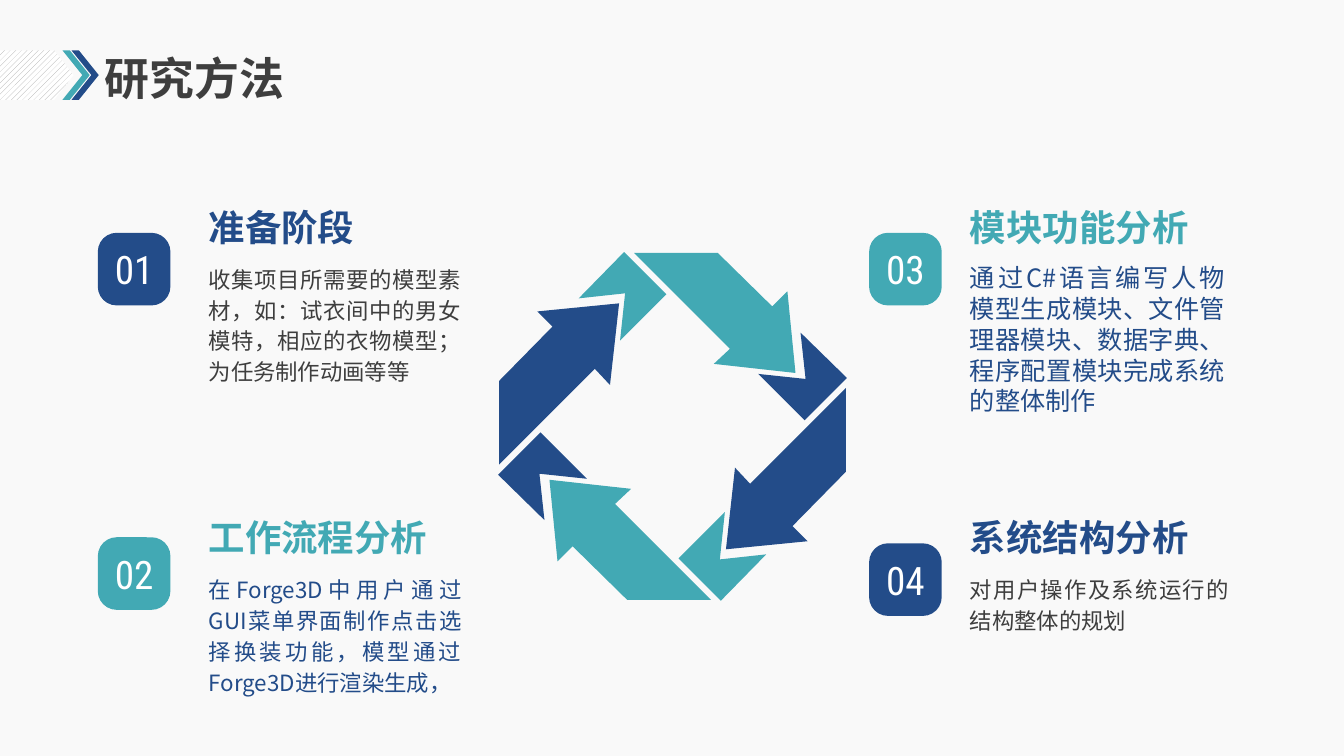
from lxml import etree
from pptx import Presentation
from pptx.dml.color import RGBColor
from pptx.enum.dml import MSO_PATTERN
from pptx.enum.shapes import MSO_SHAPE
from pptx.enum.text import MSO_ANCHOR, MSO_AUTO_SIZE, PP_ALIGN
from pptx.oxml.ns import qn
from pptx.util import Inches, Pt

ROUNDED, CHEVRON, PENTAGON = (
    MSO_SHAPE.ROUNDED_RECTANGLE, MSO_SHAPE.CHEVRON, MSO_SHAPE.PENTAGON)
HATCH = MSO_PATTERN.WIDE_UPWARD_DIAGONAL
TOP, MIDDLE = MSO_ANCHOR.TOP, MSO_ANCHOR.MIDDLE
LEFT, CENTER, JUSTIFY = PP_ALIGN.LEFT, PP_ALIGN.CENTER, PP_ALIGN.JUSTIFY
NO_FIT, GROW = MSO_AUTO_SIZE.NONE, MSO_AUTO_SIZE.SHAPE_TO_FIT_TEXT

NAVY, TEAL, INK = "234C89", "42A9B4", "3E3E3E"
WHITE, PAPER, GREY = "FFFFFF", "F9F9F9", "A6A6A6"
TITLE_FONT, BODY_FONT, NUMBER_FONT = "Karla", "Noto Sans CJK SC", "Roboto Condensed"


def color(code):
    return RGBColor.from_string(code)


def cells(count):
    """Length of a number of grid cells, ten to the inch."""
    return Inches(count / 10)


class Slide:
    def __init__(self, deck):
        self.page = deck.slides.add_slide(deck.slide_layouts[5])
        self.shapes = self.page.shapes
        fill = self.page.background.fill
        fill.solid()
        fill.fore_color.rgb = color(PAPER)

    def set_text(self, shape, text, size, font, code, bold=False,
                 align=LEFT, anchor=TOP, inset=0, spacing=None):
        frame = shape.text_frame
        frame.text = text
        frame.word_wrap = True
        frame.vertical_anchor = anchor
        frame.margin_left = frame.margin_right = cells(inset)
        frame.margin_top = frame.margin_bottom = cells(inset / 2)
        para = frame.paragraphs[0]
        para.alignment = align
        para.line_spacing = spacing
        span = para.runs[0]
        span.font.size = Pt(size)
        span.font.bold = bold
        span.font.color.rgb = color(code)
        span.font.name = font
        east_asian = etree.SubElement(span.font._element, qn("a:ea"))
        east_asian.set("typeface", font)

    def title(self, text, left, top, width, height):
        box = self.shapes.title
        box.left, box.top, box.width, box.height = map(cells, (left, top, width, height))
        self.set_text(box, text, 32, TITLE_FONT, INK, bold=True,
                      anchor=MIDDLE, inset=1, spacing=0.9)
        box.text_frame.auto_size = NO_FIT

    def text(self, text, left, top, width, height, size, code, **style):
        box = self.shapes.add_textbox(*map(cells, (left, top, width, height)))
        self.set_text(box, text, size, BODY_FONT, code, **style)
        box.text_frame.auto_size = GROW

    def paint(self, shape, code):
        shape.shadow.inherit = False
        shape.line.fill.background()
        shape.fill.solid()
        shape.fill.fore_color.rgb = color(code)

    def shape(self, kind, left, top, width, height, adjust, code):
        shape = self.shapes.add_shape(kind, *map(cells, (left, top, width, height)))
        shape.adjustments[0] = adjust
        self.paint(shape, code)
        return shape

    def hatch(self, shape):
        shape.fill.patterned()
        shape.fill.pattern = HATCH
        shape.fill.fore_color.rgb = color(GREY)
        shape.fill.back_color.rgb = color(WHITE)

    def badge(self, number, left, top, code):
        box = self.shape(ROUNDED, left, top, 7.2, 7.2, 0.26, code)
        self.set_text(box, number, 28, NUMBER_FONT, WHITE, align=CENTER, anchor=MIDDLE)

    def polygon(self, points, code):
        start, *rest = [(cells(x), cells(y)) for x, y in points]
        builder = self.shapes.build_freeform(*start)
        builder.add_line_segments(rest, close=True)
        self.paint(builder.convert_to_shape(), code)


def quarter_turns(points, turns, center):
    """Points turned clockwise about the center by quarter turns."""
    center_x, center_y = center
    for _ in range(turns):
        points = [(center_x + center_y - y, center_y + x - center_x) for x, y in points]
    return points


deck = Presentation()
deck.slide_width, deck.slide_height = Inches(13.33), Inches(7.5)
slide = Slide(deck)

# Heading with its hatched band and chevrons
band = slide.shape(PENTAGON, -0.1, 5, 7.4, 4.9, 0.39, WHITE)
slide.hatch(band)
for left, code in ((6.2, TEAL), (7.1, NAVY)):
    slide.shape(CHEVRON, left, 5, 2.7, 4.9, 0.73, code)
slide.title("研究方法", 9.4, 5.5, 49.4, 5)

# Four numbered cards: badge place, text left, heading top, body width and style
LEFT_CARD, RIGHT_CARD = (9.7, 20.7), (86.2, 96.2)
UPPER, LOWER = (20.4, 26), (51.1, 56.8)
CARDS = [
    ("01", LEFT_CARD, UPPER, 23.1, NAVY, "准备阶段", 25.1, 12.1, 16, INK,
     "收集项目所需要的模型素材，如：试衣间中的男女模特，相应的衣物模型；为任务制作动画等等"),
    ("02", LEFT_CARD, LOWER, 53.3, TEAL, "工作流程分析", 25.1, 12.1, 16, NAVY,
     "在Forge3D中用户通过GUI菜单界面制作点击选择换装功能，模型通过Forge3D进行渲染生成，"),
    ("03", RIGHT_CARD, UPPER, 23.1, TEAL, "模块功能分析", 25.3, 15.3, 18, NAVY,
     "通过C#语言编写人物模型生成模块、文件管理器模块、数据字典、程序配置模块完成系统的整体制作"),
    ("04", RIGHT_CARD, LOWER, 53.9, NAVY, "系统结构分析", 25.7, 6, 16, INK,
     "对用户操作及系统运行的结构整体的规划"),
]
for (number, (badge_left, text_left), (head_top, body_top), badge_top, code,
     heading, width, height, size, ink, body) in CARDS:
    slide.badge(number, badge_left, badge_top, code)
    slide.text(heading, text_left, head_top, 24.6, 4.4, 26, code, bold=True)
    slide.text(body, text_left, body_top, width, height, size, ink,
               align=JUSTIFY, spacing=Pt(22))

# Ring of four arrows, each a quarter turn from the one before
RING_CENTER = (66.7, 42.3)
ARROW = [(78.1, 28.9), (78.9, 37), (70.8, 36.1), (72.4, 34.6),
         (62.9, 25.1), (71.2, 25.1), (76.6, 30.4)]
TAIL = [(57.4, 29.6), (61.9, 25), (66.1, 29.2), (61.5, 33.8), (62, 29.1)]
for turn in range(4):
    for outline in (TAIL, ARROW):
        slide.polygon(quarter_turns(outline, turn, RING_CENTER), (TEAL, NAVY)[turn % 2])

deck.save("out.pptx")
